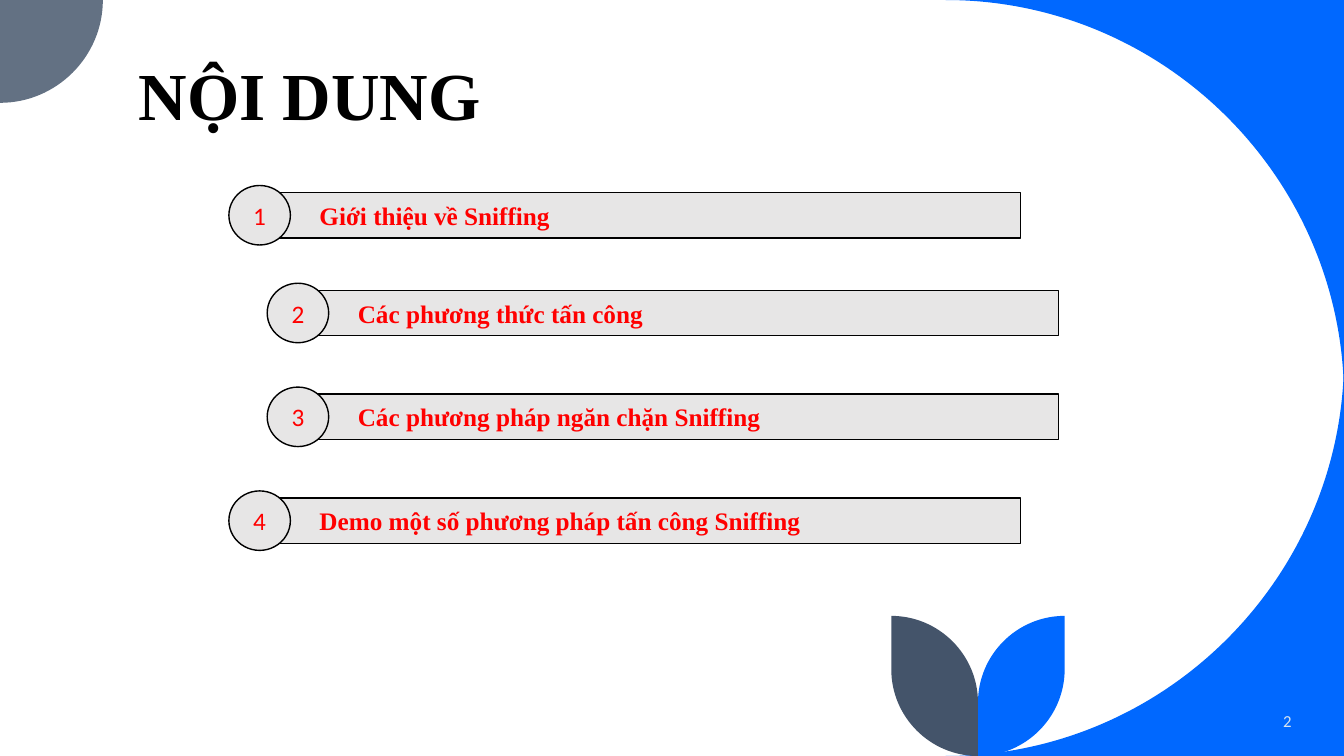
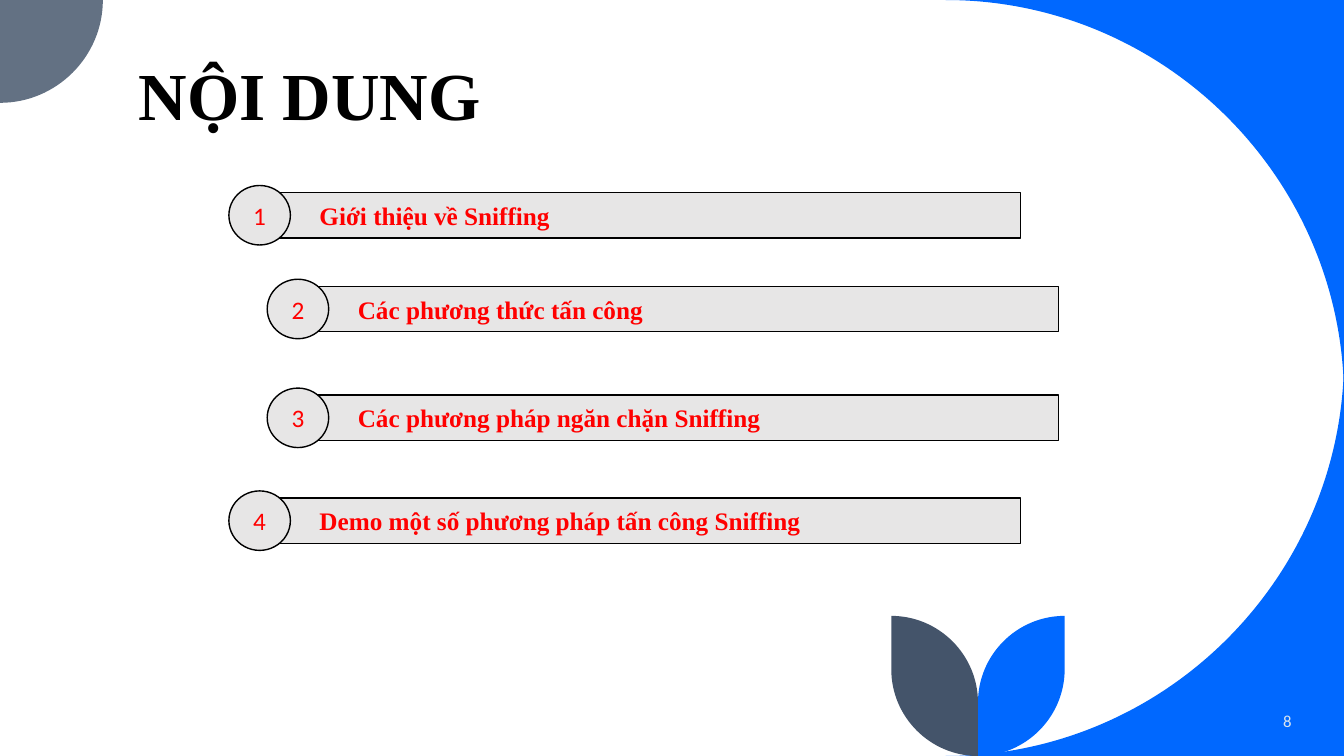
from dataclasses import dataclass

import lxml.etree
import pptx
import pptx.dml.color
import pptx.enum.shapes
import pptx.enum.text
import pptx.oxml.ns
import pptx.util

Inches = pptx.util.Inches
Align = pptx.enum.text.PP_ALIGN
Anchor = pptx.enum.text.MSO_ANCHOR
Preset = pptx.enum.shapes.MSO_SHAPE
qn = pptx.oxml.ns.qn

BLUE, SLATE, NAVY = "0068FF", "637183", "44546A"
BLACK, RED, GREY, PALE = "000000", "FF0000", "E7E6E6", "DAE5EF"
SERIF, SANS = "Times New Roman", "Calibri"
SLIDE_WIDTH, SLIDE_HEIGHT = 13.33, 7.5
SWEEP_RADIUS, CORNER_RADIUS, LEAF_RADIUS = 3.95, 1.02, 0.86
STEM_X, LEAF_TOP = 9.7, 6.11
QUARTER_ARC = 0.55
BAR_WIDTH, BAR_HEIGHT = 7.55, 0.45
BADGE_WIDTH, BADGE_HEIGHT = 0.61, 0.59
BADGE_LEFT_SHIFT, BADGE_RISE = 0.3, 0.07
OUTER_LEFT, INNER_LEFT = 2.57, 2.95


@dataclass(frozen=True)
class TextStyle:
    font: str
    size: float
    color: str
    bold: bool = False
    align: Align = Align.LEFT


@dataclass(frozen=True)
class Knot:
    x: float
    y: float
    curved: bool = False


@dataclass(frozen=True)
class Topic:
    text: str
    left: float


@dataclass(frozen=True)
class Agenda:
    page: str
    bar_tops: tuple[float, ...]


TITLE_STYLE = TextStyle(SERIF, 48, BLACK, bold=True)
TOPIC_STYLE = TextStyle(SERIF, 18, RED, bold=True)
BADGE_STYLE = TextStyle(SANS, 18, RED, align=Align.CENTER)
PAGE_STYLE = TextStyle(SANS, 12, PALE, align=Align.RIGHT)

TOPICS = (
    Topic("Giới thiệu về Sniffing", OUTER_LEFT),
    Topic("Các phương thức tấn công", INNER_LEFT),
    Topic("Các phương pháp ngăn chặn Sniffing", INNER_LEFT),
    Topic("Demo một số phương pháp tấn công Sniffing", OUTER_LEFT),
)
AGENDAS = (
    Agenda("2", (1.91, 2.88, 3.91, 4.94)),
    Agenda("8", (1.91, 2.84, 3.92, 4.94)),
)


def rgb(color: str) -> pptx.dml.color.RGBColor:
    return pptx.dml.color.RGBColor.from_string(color)


def paint(shape, fill: str, line: str | None = None) -> None:
    shape.shadow.inherit = False
    shape.fill.solid()
    shape.fill.fore_color.rgb = rgb(fill)
    if line is None:
        shape.line.fill.background()
    else:
        shape.line.color.rgb = rgb(line)
        shape.line.width = pptx.util.Pt(1)


def write(shape, text: str, style: TextStyle, anchor: Anchor = Anchor.MIDDLE):
    frame = shape.text_frame
    frame.word_wrap = True
    frame.vertical_anchor = anchor
    frame.text = text
    paragraph = frame.paragraphs[0]
    paragraph.alignment = style.align
    for run in paragraph.runs:
        run.font.name = style.font
        run.font.size = pptx.util.Pt(style.size)
        run.font.bold = style.bold
        run.font.color.rgb = rgb(style.color)
    return paragraph


def bend(segment, start: tuple[int, int], end: tuple[int, int]) -> None:
    controls = (
        (start[0], round(start[1] + QUARTER_ARC * (end[1] - start[1]))),
        (round(end[0] + QUARTER_ARC * (start[0] - end[0])), end[1]),
        end,
    )
    curve = lxml.etree.Element(qn("a:cubicBezTo"))
    for x, y in controls:
        lxml.etree.SubElement(curve, qn("a:pt"), x=str(x), y=str(y))
    segment.getparent().replace(segment, curve)


def add_outline(shapes, knots: list[Knot], fill: str) -> None:
    corners = [(Inches(knot.x), Inches(knot.y)) for knot in knots]
    builder = shapes.build_freeform(*corners[0])
    builder.add_line_segments(corners[1:], close=True)
    outline = builder.convert_to_shape()
    paint(outline, fill)
    local = [(int(pt.get("x")), int(pt.get("y"))) for pt in outline._element.iter(qn("a:pt"))]
    segments = list(outline._element.iter(qn("a:lnTo")))
    for knot, segment, start, end in zip(knots[1:], segments, local, local[1:]):
        if knot.curved:
            bend(segment, start, end)


def add_leaf(shapes, side: int, fill: str) -> None:
    tip_x = STEM_X + side * LEAF_RADIUS
    knots = [
        Knot(tip_x, LEAF_TOP),
        Knot(tip_x, SLIDE_HEIGHT - LEAF_RADIUS),
        Knot(STEM_X, SLIDE_HEIGHT, curved=True),
        Knot(STEM_X, LEAF_TOP + LEAF_RADIUS),
        Knot(tip_x, LEAF_TOP, curved=True),
    ]
    add_outline(shapes, knots, fill)


def add_decor(slide) -> None:
    sweep_x = SLIDE_WIDTH - SWEEP_RADIUS
    for edge_y, sweep_y in ((0, SWEEP_RADIUS), (SLIDE_HEIGHT, SLIDE_HEIGHT - SWEEP_RADIUS)):
        knots = [
            Knot(SLIDE_WIDTH, edge_y),
            Knot(SLIDE_WIDTH, sweep_y),
            Knot(sweep_x, edge_y, curved=True),
        ]
        add_outline(slide.shapes, knots, BLUE)
    disc = [Knot(0, 0), Knot(CORNER_RADIUS, 0), Knot(0, CORNER_RADIUS, curved=True)]
    add_outline(slide.shapes, disc, SLATE)
    sprout = slide.shapes.add_group_shape()
    add_leaf(sprout.shapes, 1, BLUE)
    add_leaf(sprout.shapes, -1, NAVY)


def add_title(slide, text: str) -> None:
    title = slide.shapes.add_textbox(Inches(1.28), Inches(0.42), Inches(10.72), Inches(0.97))
    write(title, text, TITLE_STYLE, Anchor.BOTTOM).line_spacing = 0.9


def add_page_number(slide, page: str) -> None:
    number = slide.shapes.add_textbox(Inches(11.1), Inches(6.95), Inches(1.81), Inches(0.4))
    write(number, page, PAGE_STYLE)


def add_topic(slide, number: int, topic: Topic, top: float) -> None:
    bar = slide.shapes.add_shape(
        Preset.RECTANGLE, Inches(topic.left), Inches(top), Inches(BAR_WIDTH), Inches(BAR_HEIGHT)
    )
    paint(bar, GREY, BLACK)
    label = write(bar, topic.text, TOPIC_STYLE)
    label.level = 1
    label._p.get_or_add_pPr().set("marL", str(Inches(0.5)))

    badge = slide.shapes.add_shape(
        Preset.FLOWCHART_CONNECTOR,
        Inches(topic.left - BADGE_LEFT_SHIFT),
        Inches(top - BADGE_RISE),
        Inches(BADGE_WIDTH),
        Inches(BADGE_HEIGHT),
    )
    paint(badge, GREY, BLACK)
    write(badge, str(number), BADGE_STYLE)


def add_agenda(deck, agenda: Agenda) -> None:
    slide = deck.slides.add_slide(deck.slide_layouts[6])
    add_decor(slide)
    add_title(slide, "NỘI DUNG")
    add_page_number(slide, agenda.page)
    for number, (topic, top) in enumerate(zip(TOPICS, agenda.bar_tops), start=1):
        add_topic(slide, number, topic, top)


def main() -> None:
    deck = pptx.Presentation()
    deck.slide_width = Inches(SLIDE_WIDTH)
    deck.slide_height = Inches(SLIDE_HEIGHT)
    for agenda in AGENDAS:
        add_agenda(deck, agenda)
    deck.save("out.pptx")


if __name__ == "__main__":
    main()
